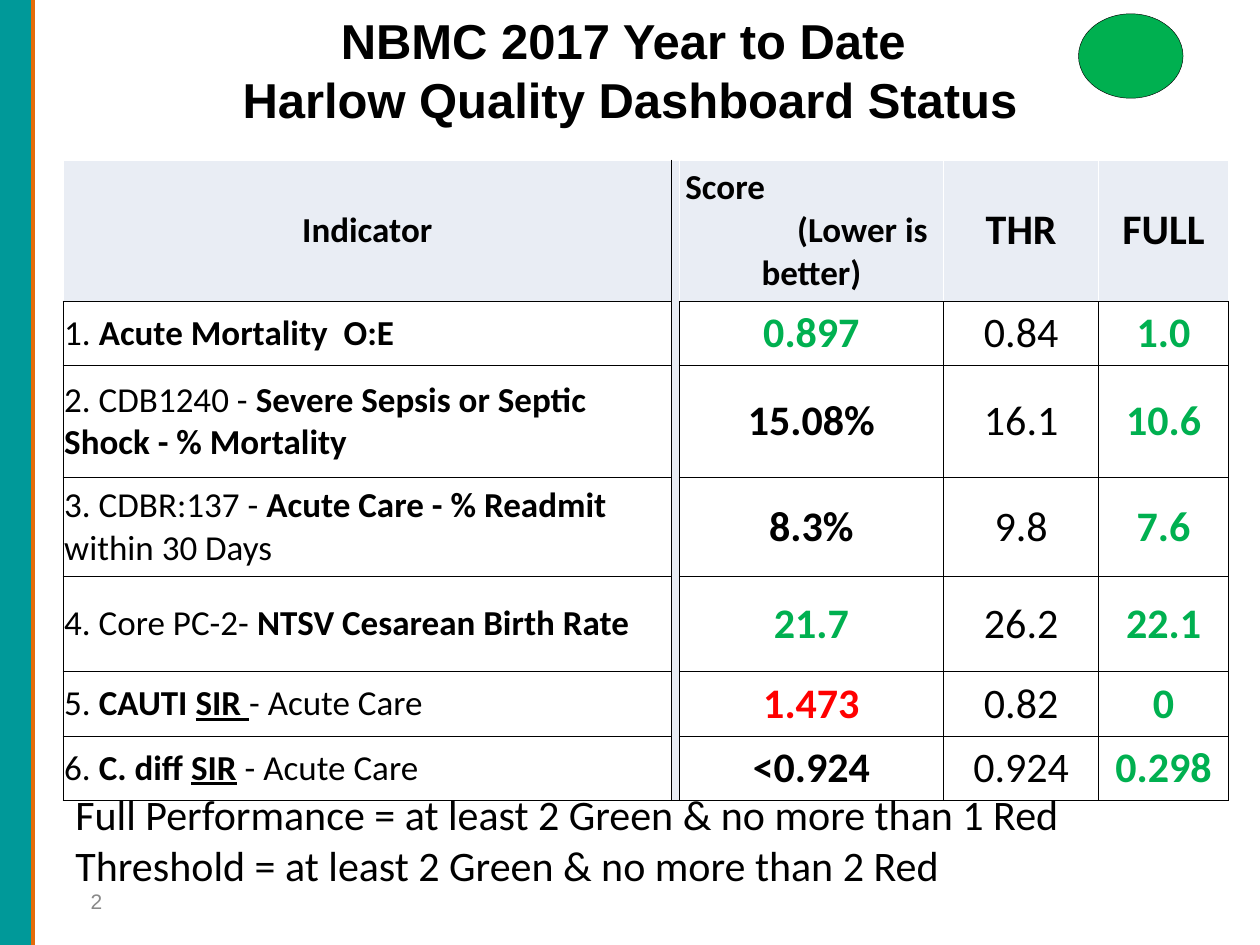
"""Builds the quality dashboard status slide."""
from lxml import etree
from pptx import Presentation
from pptx import util as u
from pptx.dml import color as dml
from pptx.enum import shapes, text
from pptx.oxml import ns

BLACK, WHITE, GREEN, RED, PALE = "000000", "FFFFFF", "00B050", "FF0000", "E9EDF4"
LEFT, CENTER, RIGHT = text.PP_ALIGN.LEFT, text.PP_ALIGN.CENTER, text.PP_ALIGN.RIGHT
MIDDLE = text.MSO_ANCHOR.MIDDLE


def rgb(value):
    return dml.RGBColor.from_string(value)


def add_span(para, words, size, style="", color=BLACK, font="Calibri"):
    span = para.add_run()
    span.text = words
    span.font.name, span.font.size = font, u.Pt(size)
    span.font.bold, span.font.underline = "b" in style, "u" in style
    span.font.color.rgb = rgb(color)


deck = Presentation()
deck.slide_width, deck.slide_height = u.Inches(10), u.Inches(7.5)
page = deck.slides.add_slide(deck.slide_layouts[5])
margin = u.Inches(0.5)
bar_width = u.Inches(0.26)

bar = page.shapes.add_shape(shapes.MSO_SHAPE.RECTANGLE, 0, 0, bar_width, deck.slide_height)
bar.shadow.inherit = False
bar.fill.solid()
bar.fill.fore_color.rgb = rgb("009999")
bar.line.fill.background()

edge = page.shapes.add_connector(
    shapes.MSO_CONNECTOR.STRAIGHT, bar_width, 0, bar_width, deck.slide_height)
edge.line.color.rgb = rgb("E46C0A")
edge.line.width = u.Pt(2)
etree.SubElement(edge._element.spPr, ns.qn("a:effectLst"))

title = page.shapes.title
title.left, title.top = margin, u.Inches(0.15)
title.width, title.height = deck.slide_width - 2 * margin, u.Inches(1.25)
title.text_frame.vertical_anchor = MIDDLE
title.text_frame.margin_top, title.text_frame.margin_bottom = 0, u.Inches(0.45)
para = title.text_frame.paragraphs[0]
para.alignment = CENTER
add_span(para, "NBMC 2017 Year to Date ", 28, "b", font="Arial")
para.add_line_break()
add_span(para, "Harlow Quality Dashboard Status", 28, "b", font="Arial")

indicators = [
    ([("1. ", ""), ("Acute Mortality  O:E", "b")], ("0.897", GREEN), "0.84", "1.0"),
    ([("2. CDB1240 - ", ""), ("Severe Sepsis or Septic Shock - % Mortality", "b")],
     ("15.08%", BLACK), "16.1", "10.6"),
    ([("3. CDBR:137 - ", ""), ("Acute Care - % Readmit ", "b"), ("within 30 Days", "")],
     ("8.3%", BLACK), "9.8", "7.6"),
    ([("4. Core PC-2- ", ""), ("NTSV Cesarean Birth Rate", "b")], ("21.7", GREEN), "26.2", "22.1"),
    ([("5. ", ""), ("CAUTI ", "b"), ("SIR ", "bu"), ("- Acute Care", "")],
     ("1.473", RED), "0.82", "0"),
    ([("6. ", ""), ("C. diff ", "b"), ("SIR", "bu"), (" ", "b"), ("- Acute Care", "")],
     ("<0.924", BLACK), "0.924", "0.298"),
]
columns = [4.83, 0.06, 2.1, 1.23, 1.03]
rows = [1.03, 0.51, 0.89, 0.76, 0.76, 0.51, 0.51]
table = page.shapes.add_table(
    len(rows), len(columns), margin, u.Inches(1.27),
    u.Inches(sum(columns)), u.Inches(sum(rows))).table
table.first_row = table.horz_banding = False
for column, width in zip(table.columns, columns):
    column.width = u.Inches(width)
for row, height in zip(table.rows, rows):
    row.height = u.Inches(height)

for r in range(len(rows)):
    for c in range(len(columns)):
        cell = table.cell(r, c)
        cell.vertical_anchor = MIDDLE
        cell.margin_left = cell.margin_right = u.Inches(0.01)
        for side in "LRTB":
            pale = r == 0 and (side == "T" or (side in "LR" and c != 1))
            line = etree.SubElement(
                cell._tc.get_or_add_tcPr(), ns.qn(f"a:ln{side}"), w=str(u.Pt(0.45)))
            fill = etree.SubElement(line, ns.qn("a:solidFill"))
            etree.SubElement(fill, ns.qn("a:srgbClr"), val=WHITE if pale else BLACK)
        if r == 0 or c == 1:
            cell.fill.solid()
            cell.fill.fore_color.rgb = rgb(PALE)
        else:
            cell.fill.background()
        cell.text_frame.paragraphs[0].alignment = LEFT if r and c == 0 else CENTER
table.cell(0, 1).merge(table.cell(len(rows) - 1, 1))

for c, words, size in [(0, "Indicator", 20), (2, "Score", 20), (3, "THR", 24), (4, "FULL", 24)]:
    add_span(table.cell(0, c).text_frame.paragraphs[0], words, size, "b")
score = table.cell(0, 2).text_frame
score.paragraphs[0].alignment = LEFT
score.paragraphs[0]._p.get_or_add_pPr().set("marL", str(u.Inches(0.04)))
para = score.add_paragraph()
para.alignment = CENTER
para._p.get_or_add_pPr().set("indent", str(u.Inches(0.81)))
add_span(para, "(Lower is better)", 20, "b")

for r, (name, (result, color), threshold, full) in enumerate(indicators, 1):
    for words, style in name:
        add_span(table.cell(r, 0).text_frame.paragraphs[0], words, 20, style)
    values = [(result, "b", color), (threshold, "", BLACK), (full, "b", GREEN)]
    for c, (words, style, shade) in enumerate(values, 2):
        add_span(table.cell(r, c).text_frame.paragraphs[0], words, 24, style, shade)

number = page.shapes.add_textbox(margin, u.Inches(6.95), u.Inches(0.41), u.Inches(0.4))
number.text_frame.word_wrap = True
number.text_frame.vertical_anchor = MIDDLE
para = number.text_frame.paragraphs[0]
para.alignment = RIGHT
add_span(para, "2", 12, color="898989", font="Arial")

legend = page.shapes.add_textbox(margin, u.Inches(6.21), u.Inches(8.88), u.Inches(0.9))
legend.text_frame.word_wrap = True
legend.text_frame.auto_size = text.MSO_AUTO_SIZE.SHAPE_TO_FIT_TEXT
add_span(legend.text_frame.paragraphs[0],
         "Full Performance = at least 2 Green & no more than 1 Red", 24)
add_span(legend.text_frame.add_paragraph(),
         "Threshold = at least 2 Green & no more than 2 Red", 24)

status = page.shapes.add_shape(
    shapes.MSO_SHAPE.OVAL, u.Inches(8.56), u.Inches(0.11), u.Inches(0.83), u.Inches(0.67))
status.shadow.inherit = False
status.fill.solid()
status.fill.fore_color.rgb = rgb(GREEN)
status.line.color.rgb = rgb(BLACK)
status.line.width = u.Pt(0.25)

deck.save("out.pptx")
